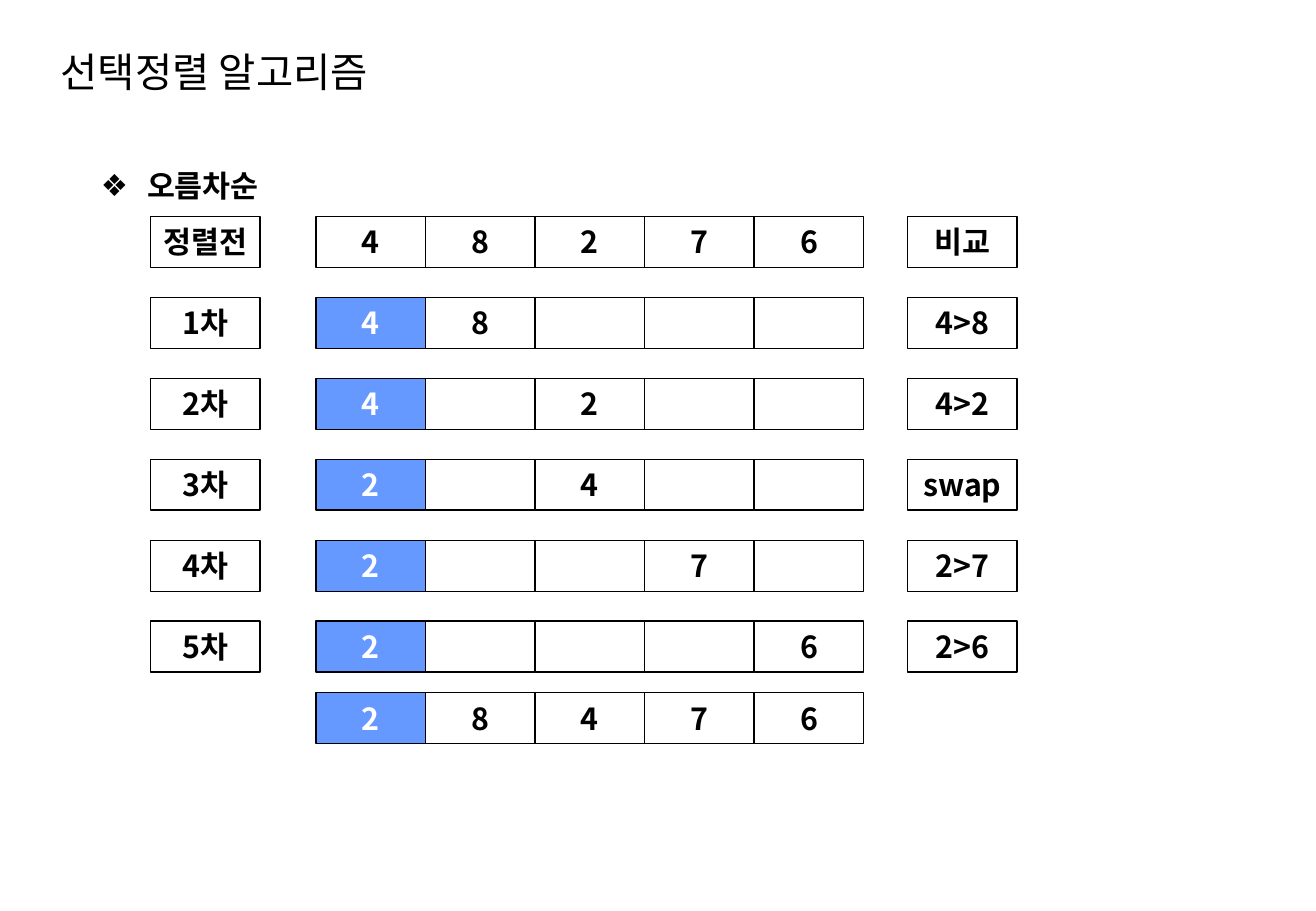
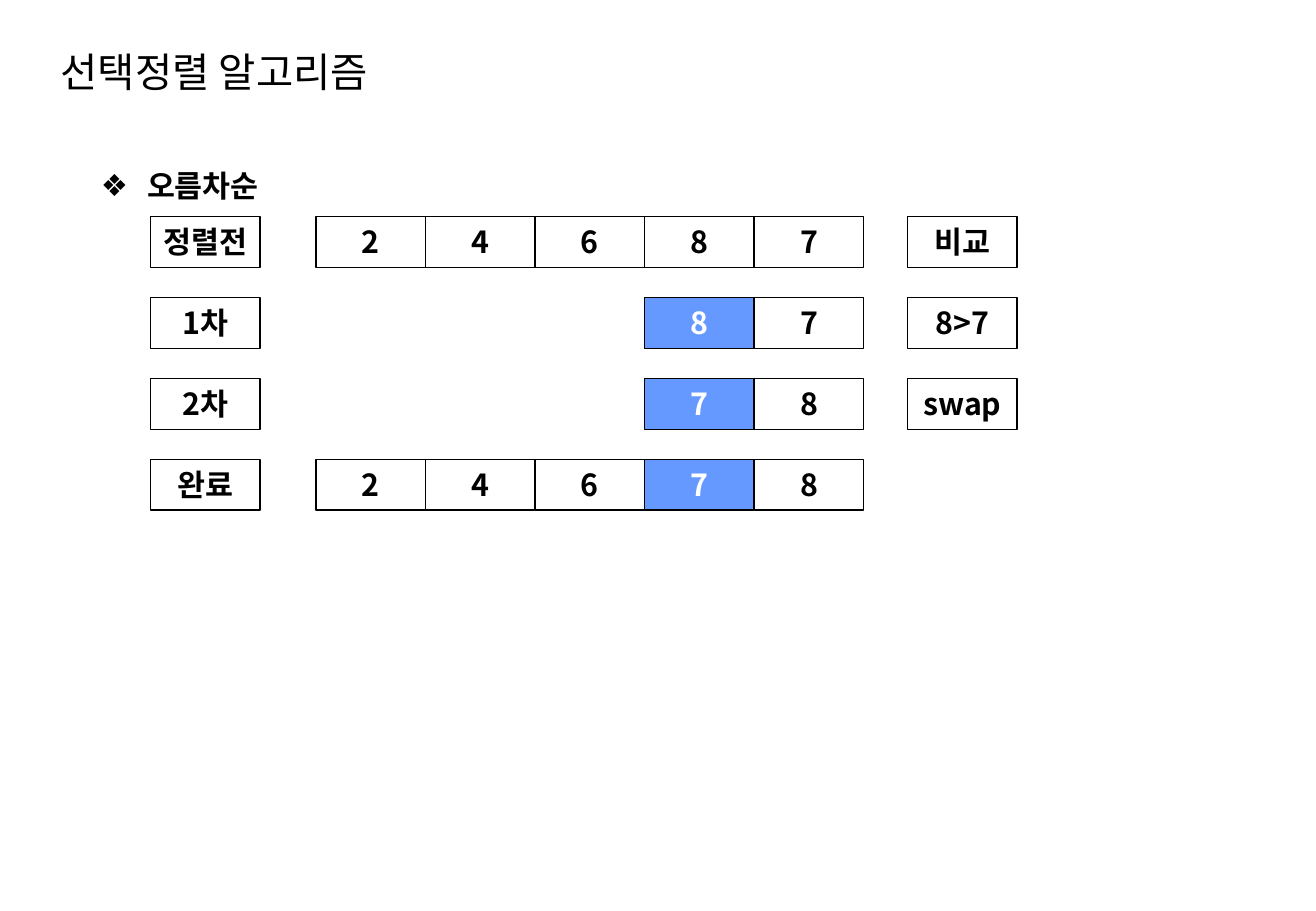
from dataclasses import dataclass
from lxml.etree import SubElement
from pptx import Presentation
from pptx.dml.color import RGBColor
from pptx.enum.shapes import MSO_SHAPE
from pptx.enum.text import MSO_ANCHOR, MSO_AUTO_SIZE, PP_ALIGN
from pptx.oxml.ns import qn
from pptx.util import Inches, Pt


@dataclass(frozen=True)
class Theme:
    font: str = "Noto Sans CJK KR"
    ink: RGBColor = RGBColor(0, 0, 0)
    paper: RGBColor = RGBColor(255, 255, 255)
    mark: RGBColor = RGBColor(0x66, 0x99, 0xFF)
    title: int = 24
    text: int = 18
    line: float = 0.75


THEME = Theme()
TITLE_BOX = (0.4, 0.32, 6.26, 0.54)
BODY_BOX = (0.73, 1.33, 9.33, 5.58)
GRID_BOX = (1.24, 1.78, 7.13, 4.34)
CELL_W, CELL_H = 0.9, 0.42
ARRAY_LEFT, ARRAY_W, COLUMNS = 1.36, 4.51, 5
ROW_STEP = 2 / 3
RESULT_STEP = 0.59
EMPTY, ABSENT = "_", "."

# Each row: label, array cells, comparison.
FIRST_PASS = [
    ("정렬전", "48276", "비교"),
    ("1차", "48___", "4>8"),
    ("2차", "4_2__", "4>2"),
    ("3차", "2_4__", "swap"),
    ("4차", "2__7_", "2>7"),
    ("5차", "2___6", "2>6"),
    ("", "28476", ""),
]
LAST_PASS = [
    ("정렬전", "24687", "비교"),
    ("1차", "...87", "8>7"),
    ("2차", "...78", "swap"),
    ("완료", "24678", ""),
]


def place(shape, box):
    shape.left, shape.top, shape.width, shape.height = map(Inches, box)


def style(paragraph, size, color=THEME.ink, bold=False):
    for run in paragraph.runs:
        font = run.font
        font.size, font.bold, font.name = Pt(size), bold, THEME.font
        font.color.rgb = color
        SubElement(font._element, qn("a:ea"), typeface=THEME.font)


def add_title(slide, text, box):
    title = slide.shapes.title
    place(title, box)
    frame = title.text_frame
    frame.text = text
    frame.auto_size = MSO_AUTO_SIZE.NONE
    frame.vertical_anchor = MSO_ANCHOR.MIDDLE
    frame.paragraphs[0].alignment = PP_ALIGN.LEFT
    style(frame.paragraphs[0], THEME.title)


def add_list(slide, text, box):
    body = slide.placeholders[1]
    place(body, box)
    frame = body.text_frame
    frame.text = text
    frame.auto_size = MSO_AUTO_SIZE.NONE
    item = frame.paragraphs[0]
    style(item, THEME.text, bold=True)
    props = item._p.get_or_add_pPr()
    props.set("marL", str(Inches(0.38)))
    props.set("indent", str(-Inches(0.38)))
    SubElement(props, qn("a:buChar"), char="❖")


def add_cell(slide, text, left, top, marked=False):
    cell = slide.shapes.add_shape(
        MSO_SHAPE.RECTANGLE, *map(Inches, (left, top, CELL_W, CELL_H)))
    cell.shadow.inherit = False
    cell.fill.solid()
    cell.fill.fore_color.rgb = THEME.mark if marked else THEME.paper
    cell.line.color.rgb = THEME.ink
    cell.line.width = Pt(THEME.line)
    if text:
        frame = cell.text_frame
        frame.text = text
        frame.word_wrap = False
        frame.vertical_anchor = MSO_ANCHOR.MIDDLE
        frame.paragraphs[0].alignment = PP_ALIGN.CENTER
        style(frame.paragraphs[0], THEME.text,
              THEME.paper if marked else THEME.ink, bold=True)


def add_steps(slide, rows, target, box):
    """Draw the sorting steps; the target column is marked after the first row."""
    left, top, width, _ = box
    for index, (label, values, note) in enumerate(rows):
        if index:
            top += ROW_STEP if label else RESULT_STEP
        if label:
            add_cell(slide, label, left, top)
        for column, value in enumerate(values):
            if value != ABSENT:
                x = left + ARRAY_LEFT + column * ARRAY_W / COLUMNS
                add_cell(slide, value.strip(EMPTY), x, top,
                         index > 0 and column == target)
        if note:
            add_cell(slide, note, left + width - CELL_W, top)


def add_sort(deck, rows, target):
    slide = deck.slides.add_slide(deck.slide_layouts[1])
    add_title(slide, "선택정렬 알고리즘", TITLE_BOX)
    add_list(slide, "오름차순", BODY_BOX)
    add_steps(slide, rows, target, GRID_BOX)


def main():
    deck = Presentation()
    deck.slide_width, deck.slide_height = Inches(10.83), Inches(7.5)
    add_sort(deck, FIRST_PASS, target=0)
    add_sort(deck, LAST_PASS, target=3)
    deck.save("out.pptx")


if __name__ == "__main__":
    main()
